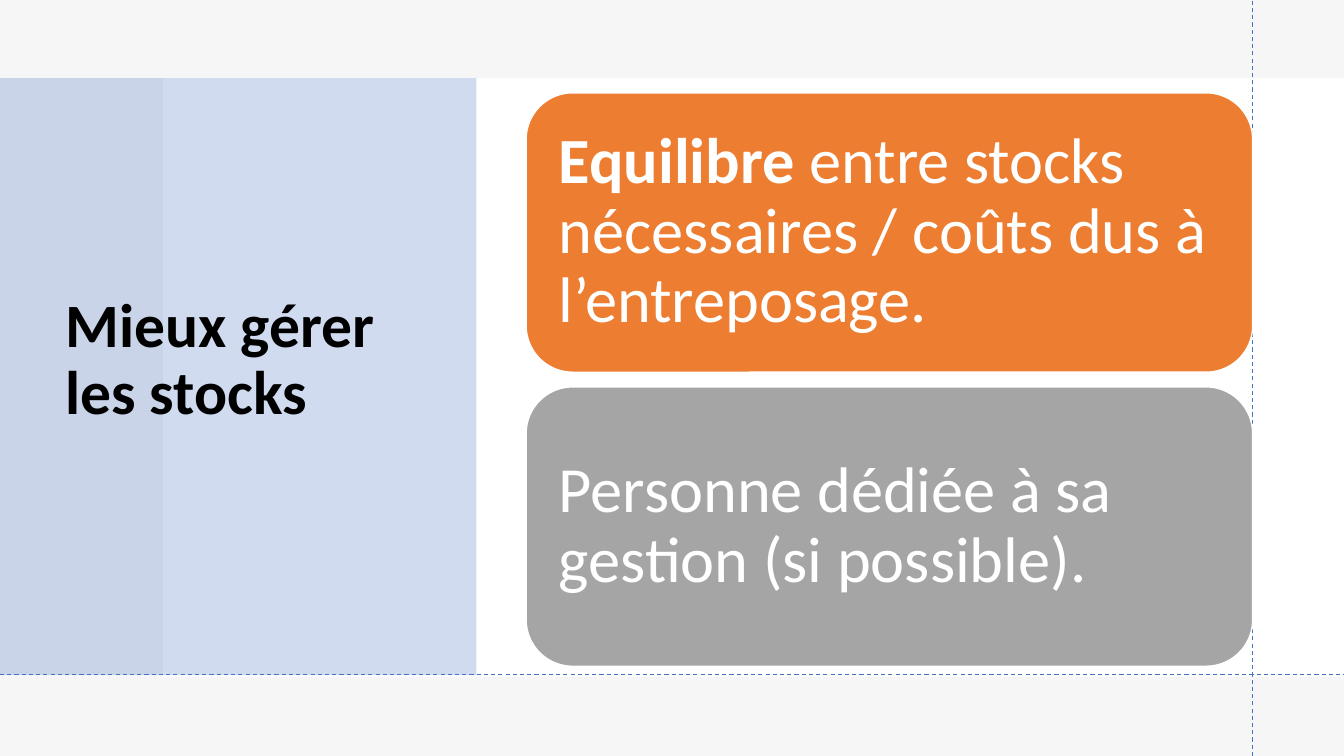
"""Build the slide on better stock management."""
import pptx
import pptx.util
import pptx.dml.color
import pptx.enum.dml
import pptx.enum.shapes
import pptx.enum.text
import pptx.oxml
import pptx.oxml.ns

Cm = pptx.util.Cm
Pt = pptx.util.Pt
SHAPES = pptx.enum.shapes.MSO_SHAPE

COLOURS = {
    "white": "FFFFFF",
    "black": "000000",
    "backdrop": "F6F6F6",
    "grey": "E7E6E6",
    "blue": "4472C4",
    "orange": "ED7D31",
    "stone": "A5A5A5",
}
WIDTH, HEIGHT = 33.87, 19.05


class StockSlide:
    """Hold the style and the slide, and draw each kind of element."""

    font = "Calibri"

    def __init__(self, slide):
        self.slide = slide
        background = slide.background.fill
        background.solid()
        background.fore_color.rgb = self.colour("backdrop")

    def colour(self, name):
        """Return the named colour."""
        return pptx.dml.color.RGBColor.from_string(COLOURS[name])

    def block(self, box, fill, opacity=100, kind=SHAPES.RECTANGLE):
        """Draw a filled shape without outline."""
        block = self.slide.shapes.add_shape(kind, *map(Cm, box))
        block.shadow.inherit = False
        block.fill.solid()
        block.fill.fore_color.rgb = self.colour(fill)
        block.line.fill.background()
        if opacity < 100:
            tint = block._element.spPr.find(".//" + pptx.oxml.ns.qn("a:srgbClr"))
            alpha = pptx.oxml.parse_xml(
                f'<a:alpha {pptx.oxml.ns.nsdecls("a")} val="{opacity * 1000}"/>')
            tint.append(alpha)
        return block

    def fill_text(self, frame, runs, size, colour):
        """Put one left-aligned paragraph of (text, bold) runs in a frame."""
        frame.word_wrap = True
        frame.vertical_anchor = pptx.enum.text.MSO_ANCHOR.MIDDLE
        paragraph = frame.paragraphs[0]
        paragraph.alignment = pptx.enum.text.PP_ALIGN.LEFT
        paragraph.line_spacing = 0.9
        paragraph.font.name = self.font
        paragraph.font.size = Pt(size)
        paragraph.font.color.rgb = self.colour(colour)
        for text, bold in runs:
            run = paragraph.add_run()
            run.text = text
            run.font.bold = bold

    def title(self, box, text):
        """Add the bold slide title."""
        title = self.slide.shapes.add_textbox(*map(Cm, box))
        self.fill_text(title.text_frame, [(text, True)], 44, "black")

    def guide(self, start, end):
        """Draw a thin dashed line."""
        guide = self.slide.shapes.add_connector(
            pptx.enum.shapes.MSO_CONNECTOR.STRAIGHT, *map(Cm, start + end))
        guide.line.color.rgb = self.colour("blue")
        guide.line.width = Pt(0.75)
        guide.line.dash_style = pptx.enum.dml.MSO_LINE.DASH
        guide._element.spPr.append(
            pptx.oxml.parse_xml(f'<a:effectLst {pptx.oxml.ns.nsdecls("a")}/>'))

    def card(self, box, fill, runs):
        """Draw a rounded card holding its text."""
        card = self.block(box, fill, kind=SHAPES.ROUNDED_RECTANGLE)
        card.line.color.rgb = self.colour("white")
        card.line.width = Pt(1)
        frame = card.text_frame
        frame.margin_left = frame.margin_right = Cm(0.48)
        frame.margin_top = frame.margin_bottom = Cm(0.48)
        self.fill_text(frame, runs, 46, "white")


def main():
    """Build and save the slide."""
    deck = pptx.Presentation()
    deck.slide_width, deck.slide_height = Cm(WIDTH), Cm(HEIGHT)
    page = StockSlide(deck.slides.add_slide(deck.slide_layouts[6]))

    page.block((0, 0, WIDTH, HEIGHT), "white")
    page.block((0, 0, WIDTH, HEIGHT), "grey", opacity=35)
    page.block((4.11, 1.97, WIDTH - 4.11, 15.08), "white")
    page.block((0, 1.97, 12.01, 15.04), "blue", opacity=25)
    page.title((1.4, 1.88, 10.03, 14.45), "Mieux gérer les stocks")
    page.guide((31.57, HEIGHT), (31.57, 0))
    page.guide((0, 16.99), (WIDTH, 16.99))

    cards = [
        ("orange", [("Equilibre", True),
                    (" entre stocks nécessaires / coûts dus à l’entreposage.", False)]),
        ("stone", [("Personne dédiée à sa gestion (si possible).", False)]),
    ]
    for row, (fill, runs) in enumerate(cards):
        page.card((13.26, 2.34 + row * 7.41, 18.31, 7.04), fill, runs)

    deck.save("out.pptx")


if __name__ == "__main__":
    main()
